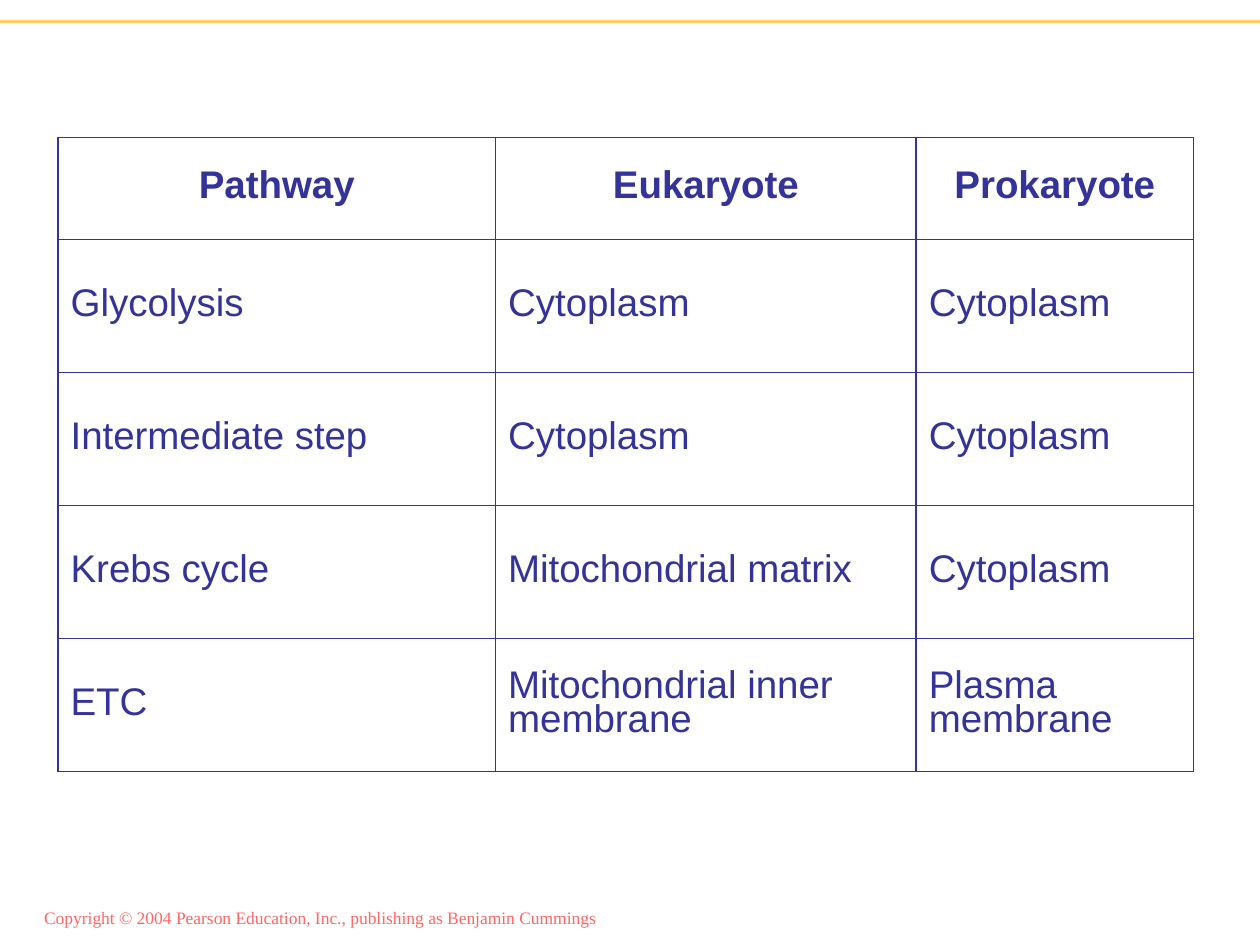
from dataclasses import dataclass

from lxml import etree
from pptx import Presentation
from pptx import util as u
from pptx.dml.color import RGBColor
from pptx.enum import shapes, text
from pptx.oxml.ns import qn


@dataclass(frozen=True)
class Theme:
    ink: str = "333399"
    rule: str = "FFCC66"
    notice: str = "FF6666"
    table_font: str = "Arial"
    notice_font: str = "Times New Roman"
    table_size: int = 22
    notice_size: int = 10


theme = Theme()


def style(font, name, size, color, bold=False):
    font.name, font.size, font.bold = name, u.Pt(size), bold
    font.color.rgb = RGBColor.from_string(color)


def add_borders(cell, color, width):
    """Draw all four cell edges; call before setting the cell's fill."""
    properties = cell._tc.get_or_add_tcPr()
    for edge in ("lnL", "lnR", "lnT", "lnB"):
        line = etree.SubElement(properties, qn(f"a:{edge}"), w=str(u.Pt(width)))
        fill = etree.SubElement(line, qn("a:solidFill"))
        etree.SubElement(fill, qn("a:srgbClr"), val=color)


prs = Presentation()
prs.slide_width, prs.slide_height = u.Cm(25.4), u.Cm(19.05)
slide = prs.slides.add_slide(prs.slide_layouts[6])

# Copyright line and top rule
notice = slide.shapes.add_textbox(u.Cm(0.64), u.Cm(18.16), u.Cm(11.68), u.Cm(0.69))
notice.text_frame.word_wrap = False
notice.text_frame.text = (
    "Copyright © 2004 Pearson Education, Inc., publishing as Benjamin Cummings"
)
style(notice.text_frame.paragraphs[0].runs[0].font,
      theme.notice_font, theme.notice_size, theme.notice)

top_rule = slide.shapes.add_connector(
    shapes.MSO_CONNECTOR.STRAIGHT, 0, u.Cm(0.43), prs.slide_width, u.Cm(0.43))
top_rule.line.color.rgb = RGBColor.from_string(theme.rule)
top_rule.line.width = u.Pt(2)
etree.SubElement(top_rule._element.spPr, qn("a:effectLst"))

# Where each pathway takes place
locations = [
    ("Pathway", "Eukaryote", "Prokaryote"),
    ("Glycolysis", "Cytoplasm", "Cytoplasm"),
    ("Intermediate step", "Cytoplasm", "Cytoplasm"),
    ("Krebs cycle", "Mitochondrial matrix", "Cytoplasm"),
    ("ETC", "Mitochondrial inner membrane", "Plasma membrane"),
]
column_widths = [8.82, 8.48, 5.59]
row_heights = [2.06] + [2.68] * 4

table = slide.shapes.add_table(
    len(row_heights), len(column_widths), u.Cm(1.17), u.Cm(2.77),
    u.Cm(sum(column_widths)), u.Cm(sum(row_heights))).table
table.horz_banding = False
for column, width in zip(table.columns, column_widths):
    column.width = u.Cm(width)

for r, (labels, height) in enumerate(zip(locations, row_heights)):
    table.rows[r].height = u.Cm(height)
    is_header = r == 0
    for c, label in enumerate(labels):
        cell = table.cell(r, c)
        add_borders(cell, theme.ink, 1)
        cell.fill.background()
        cell.vertical_anchor = text.MSO_ANCHOR.MIDDLE
        cell.text_frame.text = label
        paragraph = cell.text_frame.paragraphs[0]
        paragraph.line_spacing = 0.8
        paragraph.alignment = text.PP_ALIGN.CENTER if is_header else text.PP_ALIGN.LEFT
        style(paragraph.runs[0].font, theme.table_font, theme.table_size,
              theme.ink, bold=is_header)

prs.save("out.pptx")
